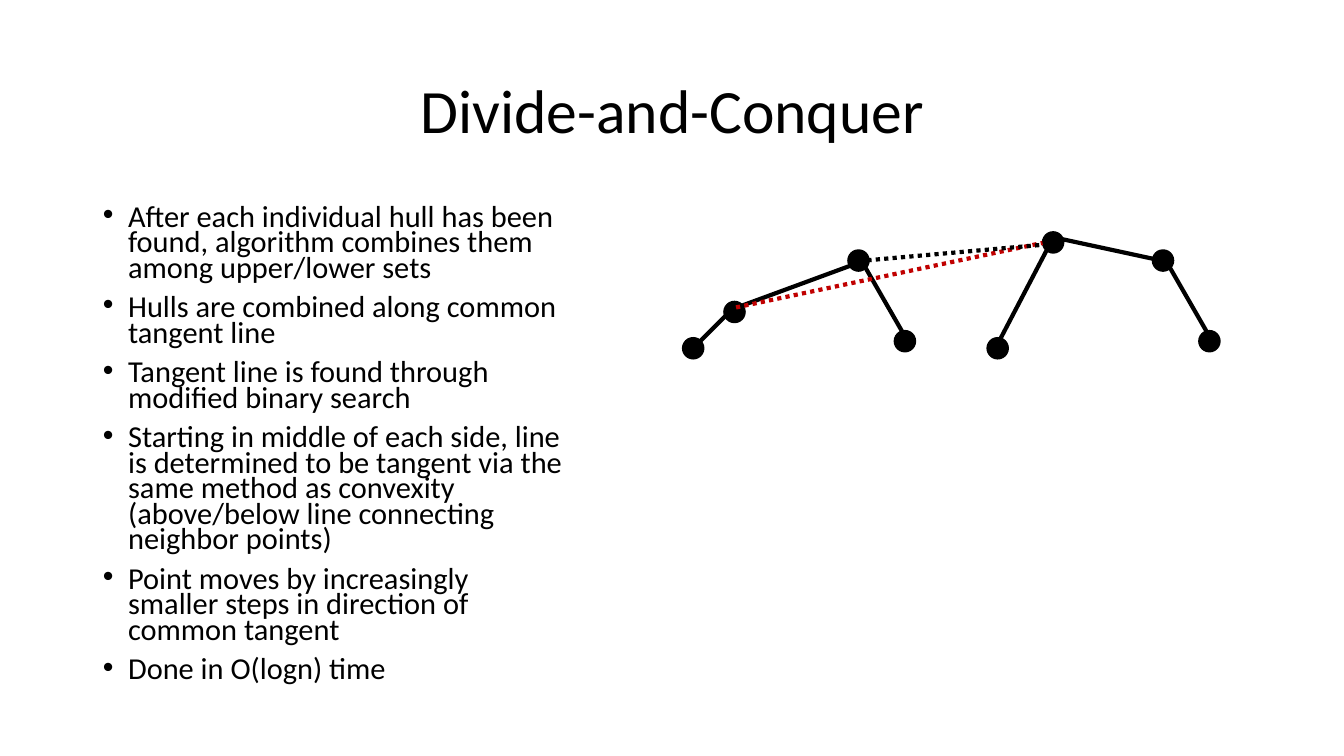
from pptx import Presentation
from pptx.dml.color import RGBColor
from pptx.enum.dml import MSO_LINE
from pptx.enum.shapes import MSO_CONNECTOR, MSO_SHAPE
from pptx.enum.text import MSO_ANCHOR, MSO_AUTO_SIZE, PP_ALIGN
from pptx.oxml.ns import qn
from pptx.util import Emu, Inches, Pt
from lxml.etree import SubElement

BLACK, RED = "000000", "C00000"
DOT_SIZE = 2.1
FIGURE_COLUMNS, FIGURE_ROWS = 53.3, 12.6

STEPS = [
    "After each individual hull has been found, algorithm combines them among upper/lower sets",
    "Hulls are combined along common tangent line",
    "Tangent line is found through modified binary search",
    "Starting in middle of each side, line is determined to be tangent via the same method "
    "as convexity (above/below line connecting neighbor points)",
    "Point moves by increasingly smaller steps in direction of common tangent",
    "Done in O(logn) time",
]

LEFT_HULL = {
    "points": [(0, 10.5), (4.1, 6.9), (16.4, 1.8), (21, 9.8)],
    "edges": [((5.1, 7.5), (1.1, 11.5)), ((17.9, 2.9), (5.4, 7.5)), ((17.3, 2.1), (22.3, 10.8))],
}
RIGHT_HULL = {
    "points": [(30.2, 10.5), (35.7, 0), (46.6, 1.8), (51.2, 9.8)],
    "edges": [((36.8, 0.5), (30.9, 11.8)), ((47.7, 2.9), (36.6, 0.5)), ((47.5, 2.1), (52.5, 10.8))],
}
TANGENTS = [((5.3, 7.5), (35.7, 1.1), RED), ((17.5, 2.9), (37.8, 1.1), BLACK)]


def paint(color_format, hex_color):
    color_format.rgb = RGBColor.from_string(hex_color)


def inch_box(*lengths):
    return [Inches(length) for length in lengths]


def fill_placeholder(placeholder, box, texts, size, spacing):
    placeholder.left, placeholder.top, placeholder.width, placeholder.height = box
    frame = placeholder.text_frame
    frame.text = "\n".join(texts)
    frame.word_wrap = True
    frame.auto_size = MSO_AUTO_SIZE.NONE
    for paragraph in frame.paragraphs:
        paragraph.line_spacing = spacing
        for run in paragraph.runs:
            run.font.name = "Calibri"
            run.font.size = Pt(size)
            paint(run.font.color, BLACK)
    return frame


def place_title(title, box):
    frame = fill_placeholder(title, box, ["Divide-and-Conquer"], 44, 0.9)
    frame.vertical_anchor = MSO_ANCHOR.MIDDLE
    frame.paragraphs[0].alignment = PP_ALIGN.CENTER


def place_steps(body, box):
    frame = fill_placeholder(body, box, STEPS, 21.7, 0.7)
    frame.vertical_anchor = MSO_ANCHOR.TOP
    for paragraph in frame.paragraphs:
        paragraph.space_before = Pt(10)
        properties = paragraph._p.get_or_add_pPr()
        properties.set("marL", str(Inches(0.25)))
        properties.set("indent", str(-Inches(0.25)))
        SubElement(properties, qn("a:buFont")).set("typeface", "Arial")
        SubElement(properties, qn("a:buChar")).set("char", "•")


def place_hulls(shapes, box):
    left, top, width, height = box

    def spot(point):
        column, row = point
        return (Emu(int(left + width * column / FIGURE_COLUMNS)),
                Emu(int(top + height * row / FIGURE_ROWS)))

    def draw_point(corner):
        size = Emu(int(width * DOT_SIZE / FIGURE_COLUMNS))
        dot = shapes.add_shape(MSO_SHAPE.OVAL, *spot(corner), size, size)
        dot.shadow.inherit = False
        dot.fill.solid()
        paint(dot.fill.fore_color, BLACK)
        paint(dot.line.color, BLACK)
        dot.line.width = Pt(1)

    def draw_edge(start, end, hex_color=BLACK, dash=None):
        edge = shapes.add_connector(MSO_CONNECTOR.STRAIGHT, *spot(start), *spot(end))
        paint(edge.line.color, hex_color)
        edge.line.width = Pt(3)
        edge.line.dash_style = dash
        SubElement(edge._element.spPr, qn("a:effectLst"))

    for hull in (LEFT_HULL, RIGHT_HULL):
        for corner in hull["points"]:
            draw_point(corner)
        for start, end in hull["edges"]:
            draw_edge(start, end)
    for start, end, hex_color in TANGENTS:
        draw_edge(start, end, hex_color, MSO_LINE.ROUND_DOT)


deck = Presentation()
deck.slide_width, deck.slide_height = Inches(13.33), Inches(7.5)
slide = deck.slides.add_slide(deck.slide_layouts[1])
place_title(slide.shapes.title, inch_box(0.92, 0.4, 11.5, 1.45))
place_steps(slide.placeholders[1], inch_box(0.92, 2, 4.78, 5.1))
place_hulls(slide.shapes, inch_box(6.77, 2.3, 5.33, 1.26))
deck.save("out.pptx")
